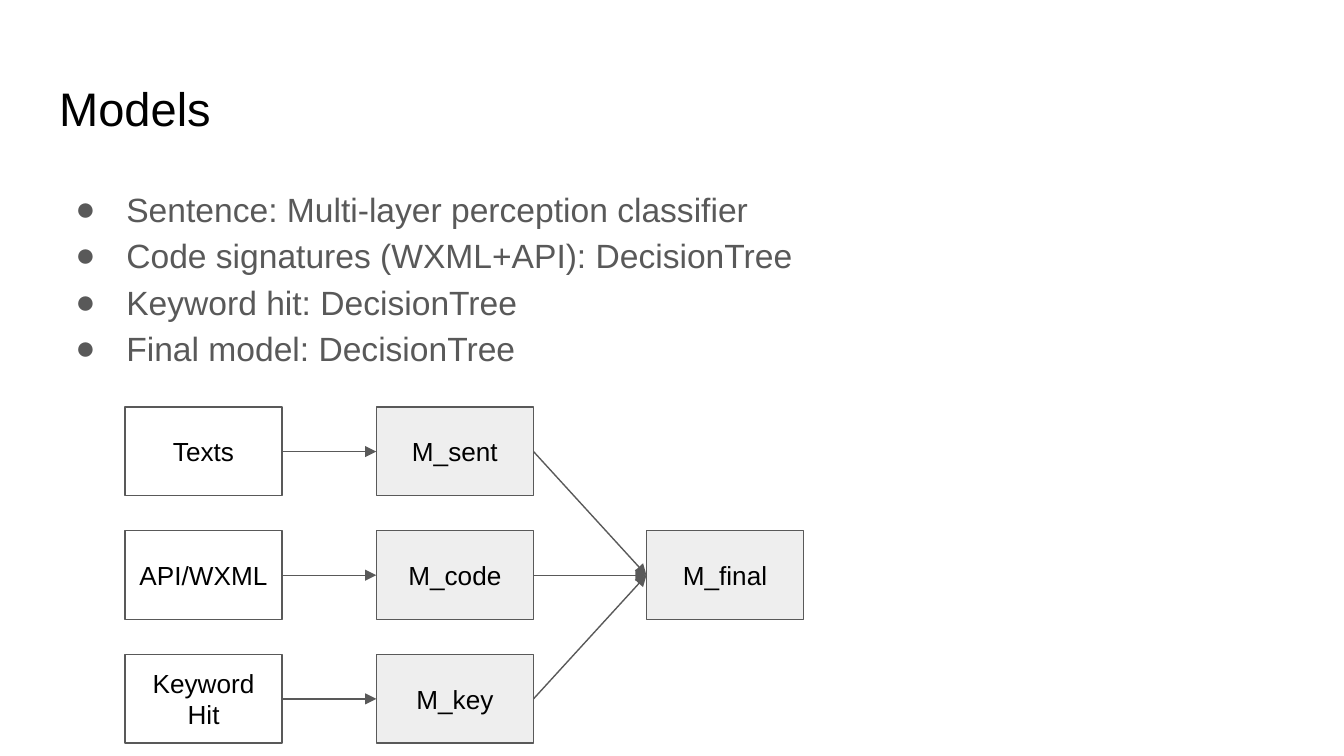
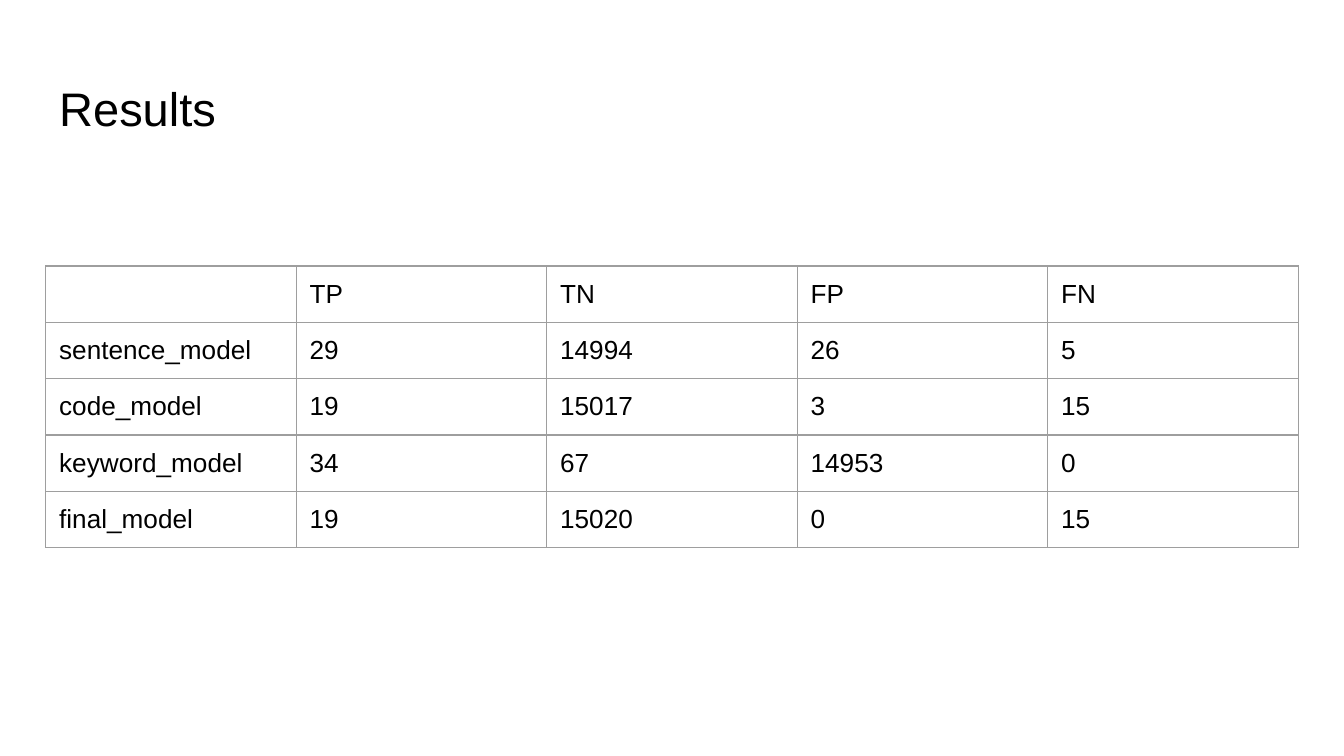
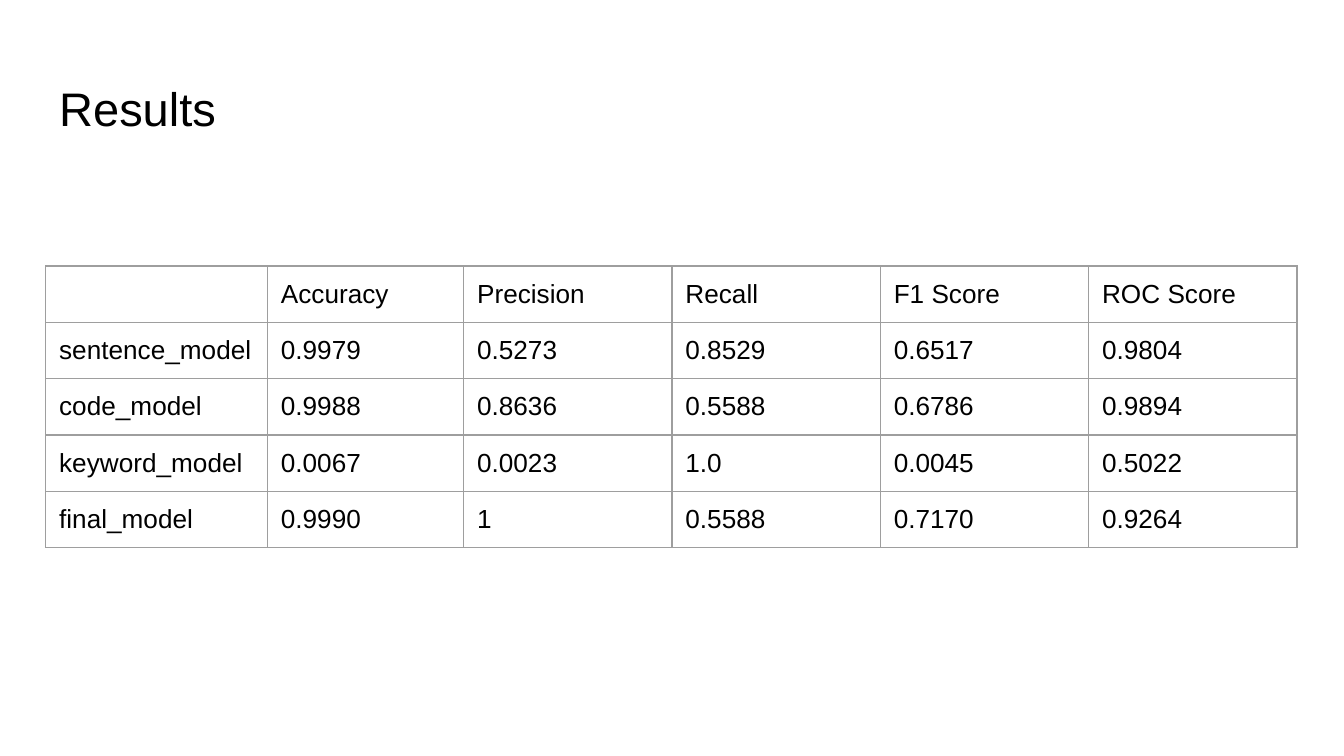
from dataclasses import dataclass

from lxml.etree import SubElement
from pptx import Presentation
from pptx.dml.color import RGBColor
from pptx.enum.shapes import MSO_CONNECTOR, MSO_SHAPE
from pptx.enum.text import MSO_ANCHOR, MSO_AUTO_SIZE, PP_ALIGN
from pptx.oxml.ns import qn
from pptx.shapes.autoshape import Shape
from pptx.slide import Slide
from pptx.table import _Cell
from pptx.text.text import TextFrame, _Paragraph
from pptx.util import Inches, Pt

BLACK = RGBColor(0x00, 0x00, 0x00)
WHITE = RGBColor(0xFF, 0xFF, 0xFF)
LIGHT_GRAY = RGBColor(0xEE, 0xEE, 0xEE)
DARK_GRAY = RGBColor(0x59, 0x59, 0x59)
BORDER_GRAY = RGBColor(0x9E, 0x9E, 0x9E)

FONT = "Arial"
TITLE_SIZE = Pt(25.2)
BODY_SIZE = Pt(18)
LABEL_SIZE = Pt(14)
LINE_WIDTH = Pt(0.75)
SLIDE_WIDTH = Inches(10)
SLIDE_HEIGHT = SLIDE_WIDTH * 9 // 16
INSET = Inches(0.1)
MARGIN = Inches(0.34)
CONTENT_WIDTH = Inches(9.32)

CONTENT_LAYOUT = 1
TITLE_ONLY_LAYOUT = 5

BOX_WIDTH = Inches(1.17)
BOX_HEIGHT = Inches(0.66)
DIAGRAM_TOP = Inches(3.03)
ROW_STEP = Inches(0.92)
INPUT_LEFT = Inches(0.93)
MODEL_LEFT = Inches(2.8)
FINAL_LEFT = Inches(4.81)
LEFT_SIDE, RIGHT_SIDE = 1, 3

TABLE_TOP = Inches(1.98)
TABLE_HEIGHT = Inches(2.09)


@dataclass(frozen=True)
class Pipeline:
    input_lines: tuple[str, ...]
    model: str


@dataclass(frozen=True)
class ResultTable:
    column_widths: tuple[int, ...]
    metrics: tuple[str, ...]
    scores: dict[str, tuple[str, ...]]


MODEL_NOTES = (
    "Sentence: Multi-layer perception classifier",
    "Code signatures (WXML+API): DecisionTree",
    "Keyword hit: DecisionTree",
    "Final model: DecisionTree",
)

PIPELINES = (
    Pipeline(("Texts",), "M_sent"),
    Pipeline(("API/WXML",), "M_code"),
    Pipeline(("Keyword", "Hit"), "M_key"),
)

RESULT_TABLES = (
    ResultTable(
        (CONTENT_WIDTH // 5,) * 5,
        ("TP", "TN", "FP", "FN"),
        {
            "sentence_model": ("29", "14994", "26", "5"),
            "code_model": ("19", "15017", "3", "15"),
            "keyword_model": ("34", "67", "14953", "0"),
            "final_model": ("19", "15020", "0", "15"),
        },
    ),
    ResultTable(
        (Inches(1.65), Inches(1.46)) + (Inches(1.55),) * 4,
        ("Accuracy", "Precision", "Recall", "F1 Score", "ROC Score"),
        {
            "sentence_model": ("0.9979", "0.5273", "0.8529", "0.6517", "0.9804"),
            "code_model": ("0.9988", "0.8636", "0.5588", "0.6786", "0.9894"),
            "keyword_model": ("0.0067", "0.0023", "1.0", "0.0045", "0.5022"),
            "final_model": ("0.9990", "1", "0.5588", "0.7170", "0.9264"),
        },
    ),
)


def set_insets(target: TextFrame | _Cell) -> None:
    target.margin_left = target.margin_right = INSET
    target.margin_top = target.margin_bottom = INSET


def add_run(paragraph: _Paragraph, text: str, size: Pt, color: RGBColor) -> None:
    run = paragraph.add_run()
    run.text = text
    run.font.name = FONT
    run.font.size = size
    run.font.color.rgb = color


def write_lines(
    frame: TextFrame,
    lines: tuple[str, ...],
    size: Pt,
    color: RGBColor,
    alignment: PP_ALIGN,
    anchor: MSO_ANCHOR,
) -> None:
    frame.word_wrap = True
    frame.auto_size = MSO_AUTO_SIZE.NONE
    frame.vertical_anchor = anchor
    set_insets(frame)
    for index, line in enumerate(lines):
        paragraph = frame.add_paragraph() if index else frame.paragraphs[0]
        paragraph.alignment = alignment
        add_run(paragraph, line, size, color)


def place(shape: Shape, top: float, height: float) -> None:
    shape.left, shape.width = MARGIN, CONTENT_WIDTH
    shape.top, shape.height = Inches(top), Inches(height)


def add_titled_slide(presentation: Presentation, layout: int, text: str) -> Slide:
    slide = presentation.slides.add_slide(presentation.slide_layouts[layout])
    slide.background.fill.solid()
    slide.background.fill.fore_color.rgb = WHITE
    title = slide.shapes.title
    place(title, 0.49, 0.63)
    write_lines(
        title.text_frame, (text,), TITLE_SIZE, BLACK, PP_ALIGN.LEFT, MSO_ANCHOR.TOP
    )
    return slide


def add_bullet(paragraph: _Paragraph) -> None:
    paragraph.line_spacing = 1.15
    paragraph.space_before = paragraph.space_after = Pt(0)
    properties = paragraph._p.get_or_add_pPr()
    properties.set("marL", str(Inches(0.5)))
    properties.set("indent", str(Inches(-0.38)))
    bullet_color = SubElement(properties, qn("a:buClr"))
    SubElement(bullet_color, qn("a:srgbClr"), val=str(DARK_GRAY))
    SubElement(properties, qn("a:buFont"), typeface=FONT)
    SubElement(properties, qn("a:buChar"), char="●")


def fill_body(slide: Slide, lines: tuple[str, ...]) -> None:
    body = slide.placeholders[1]
    place(body, 1.26, 3.74)
    write_lines(
        body.text_frame, lines, BODY_SIZE, DARK_GRAY, PP_ALIGN.LEFT, MSO_ANCHOR.TOP
    )
    for paragraph in body.text_frame.paragraphs:
        add_bullet(paragraph)


def add_box(
    slide: Slide, left: int, row: int, lines: tuple[str, ...], fill: RGBColor
) -> Shape:
    top = DIAGRAM_TOP + row * ROW_STEP
    box = slide.shapes.add_shape(
        MSO_SHAPE.RECTANGLE, left, top, BOX_WIDTH, BOX_HEIGHT
    )
    box.shadow.inherit = False
    box.fill.solid()
    box.fill.fore_color.rgb = fill
    box.line.color.rgb = DARK_GRAY
    box.line.width = LINE_WIDTH
    write_lines(
        box.text_frame, lines, LABEL_SIZE, BLACK, PP_ALIGN.CENTER, MSO_ANCHOR.MIDDLE
    )
    return box


def add_arrow(slide: Slide, source: Shape, target: Shape) -> None:
    arrow = slide.shapes.add_connector(MSO_CONNECTOR.STRAIGHT, 0, 0, 0, 0)
    arrow.begin_connect(source, RIGHT_SIDE)
    arrow.end_connect(target, LEFT_SIDE)
    arrow.line.color.rgb = DARK_GRAY
    arrow.line.width = LINE_WIDTH
    SubElement(arrow.line._get_or_add_ln(), qn("a:tailEnd"), type="triangle")
    SubElement(arrow._element.spPr, qn("a:effectLst"))


def add_diagram(slide: Slide) -> None:
    model_boxes = [
        add_box(slide, MODEL_LEFT, row, (pipeline.model,), LIGHT_GRAY)
        for row, pipeline in enumerate(PIPELINES)
    ]
    final_box = add_box(slide, FINAL_LEFT, 1, ("M_final",), LIGHT_GRAY)
    input_boxes = [
        add_box(slide, INPUT_LEFT, row, pipeline.input_lines, WHITE)
        for row, pipeline in enumerate(PIPELINES)
    ]
    for input_box, model_box in zip(input_boxes, model_boxes):
        add_arrow(slide, input_box, model_box)
    for model_box in model_boxes:
        add_arrow(slide, model_box, final_box)


def format_cell(cell: _Cell, text: str) -> None:
    set_insets(cell)
    paragraph = cell.text_frame.paragraphs[0]
    if text:
        add_run(paragraph, text, LABEL_SIZE, BLACK)
    else:
        end_properties = SubElement(
            paragraph._p, qn("a:endParaRPr"), sz=str(int(LABEL_SIZE.pt * 100))
        )
        SubElement(end_properties, qn("a:latin"), typeface=FONT)
    properties = cell._tc.get_or_add_tcPr()
    for side in ("lnL", "lnR", "lnT", "lnB"):
        border = SubElement(properties, qn(f"a:{side}"), w=str(LINE_WIDTH))
        border_fill = SubElement(border, qn("a:solidFill"))
        SubElement(border_fill, qn("a:srgbClr"), val=str(BORDER_GRAY))
    cell.fill.background()


def add_result_table(slide: Slide, results: ResultTable) -> None:
    rows = [("", *results.metrics)]
    rows += [(model, *scores) for model, scores in results.scores.items()]
    table = slide.shapes.add_table(
        len(rows),
        len(results.column_widths),
        MARGIN,
        TABLE_TOP,
        sum(results.column_widths),
        TABLE_HEIGHT,
    ).table
    table.first_row = False
    table.horz_banding = False
    for column, width in zip(table.columns, results.column_widths):
        column.width = width
    for table_row, texts in zip(table.rows, rows):
        for cell, text in zip(table_row.cells, texts):
            format_cell(cell, text)


def main() -> None:
    presentation = Presentation()
    presentation.slide_width = SLIDE_WIDTH
    presentation.slide_height = SLIDE_HEIGHT

    models_slide = add_titled_slide(presentation, CONTENT_LAYOUT, "Models")
    fill_body(models_slide, MODEL_NOTES)
    add_diagram(models_slide)

    for results in RESULT_TABLES:
        results_slide = add_titled_slide(presentation, TITLE_ONLY_LAYOUT, "Results")
        add_result_table(results_slide, results)

    presentation.save("out.pptx")


if __name__ == "__main__":
    main()
